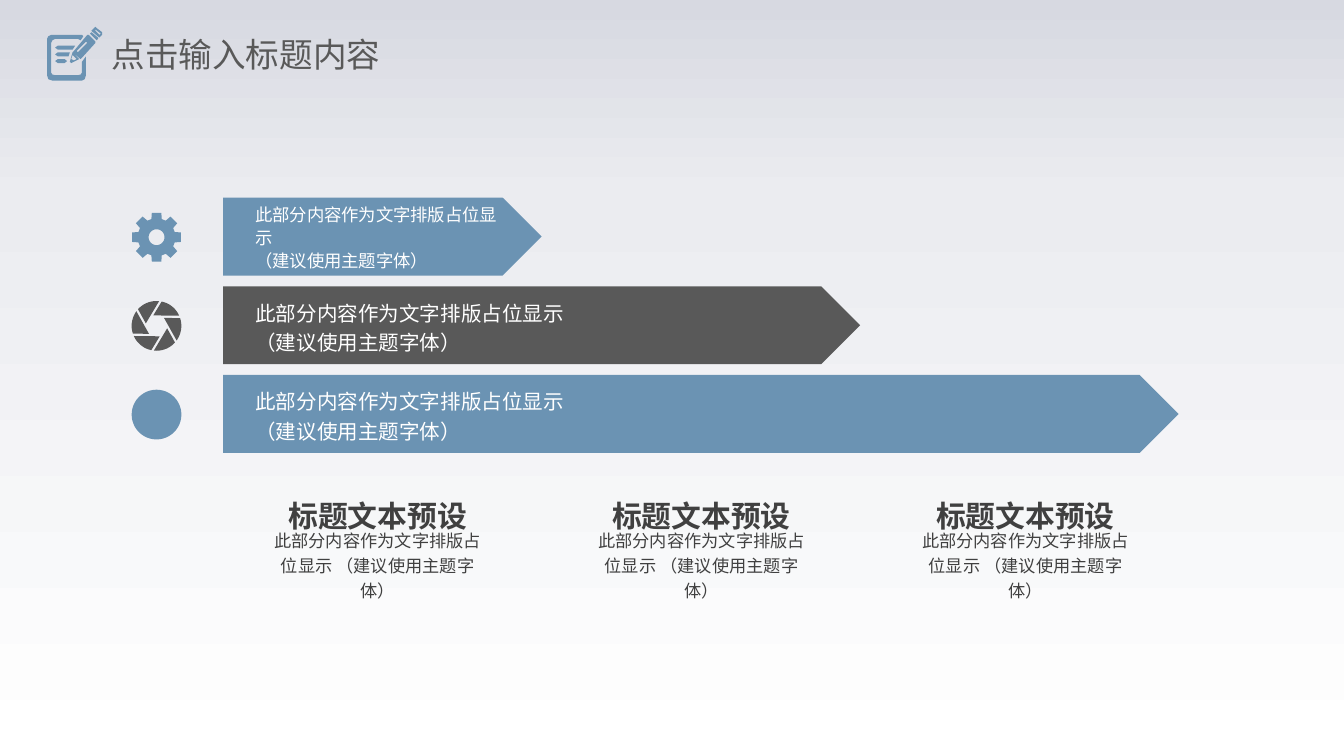
from dataclasses import dataclass
from math import cos, radians, sin

from lxml import etree
from pptx import Presentation
from pptx.dml.color import RGBColor
from pptx.enum import shapes, text
from pptx.oxml import ns
from pptx.util import Inches, Pt


@dataclass(frozen=True)
class Theme:
    blue: str = "6B93B3"
    gray: str = "595959"
    ink: str = "404040"
    white: str = "FFFFFF"
    backdrop: tuple = ((0, "D7D9E1"), (26, "EBECF0"), (100, "FFFFFF"))
    font: str = "Calibri"
    title_font: str = "Noto Sans CJK SC"
    title: float = 18
    heading: float = 16
    arrow: float = 11
    short_arrow: float = 9.3
    body: float = 9.2


THEME = Theme()
BODY = "此部分内容作为文字排版占位显示 "
HINT = "（建议使用主题字体）"
MIDDLE = text.MSO_ANCHOR.MIDDLE
CENTER = text.PP_ALIGN.CENTER
LEFT = text.PP_ALIGN.LEFT

# Contours of the notepad and pencil, in hundredths of an inch
NOTEPAD = (
    ((3, 6), (26, 6), (27, 7), (25, 10), (23, 9), (6, 9), (4, 10), (3, 12),
     (3, 34), (4, 35.5), (6, 36), (23, 36), (25, 35.5), (26, 34), (26, 26),
     (29, 22), (29, 36), (28, 39), (26, 40), (4, 40), (1, 39), (0, 36),
     (0, 9), (1, 7)),
    ((8, 14), (21, 14), (19, 17), (8, 17), (6, 15.5)),
    ((8, 19), (17, 19), (16, 22), (8, 22), (6, 20.5)),
    ((8, 24), (13, 24), (15, 25.5), (13, 27), (8, 27), (6, 25.5)),
    ((19, 19), (24, 24), (18, 27), (17, 26)),
    ((19, 21), (18, 24), (20, 25), (22, 24)),
    ((31, 6), (36, 11), (36, 12), (26, 23), (25, 24), (19, 19), (20, 18), (30, 6)),
    ((29, 11), (22, 18), (23, 19), (30, 12)),
    ((33, 4), (38, 8), (38, 9), (37, 10), (32, 5)),
    ((36, 0), (37, 1), (41, 4), (41, 6), (39, 8), (33, 3), (35, 1)),
    ((36, 2), (36, 3), (39, 6), (40, 5)),
)


def paint(shape, color):
    shape.shadow.inherit = False
    shape.fill.solid()
    shape.fill.fore_color.rgb = RGBColor.from_string(color)
    shape.line.fill.background()


def write(shape, words, size, color, font=THEME.font, bold=False, spacing=1.0,
          align=LEFT, anchor=text.MSO_ANCHOR.TOP, insets=(0, 0, 0, 0), wrap=True):
    """Fill a shape with one paragraph; a vertical tab in words breaks the line."""
    frame = shape.text_frame
    sides = ("margin_left", "margin_top", "margin_right", "margin_bottom")
    layout = dict(zip(sides, map(Inches, insets)))
    for name, value in {**layout, "word_wrap": wrap, "vertical_anchor": anchor}.items():
        setattr(frame, name, value)
    paragraph = frame.paragraphs[0]
    paragraph.text = words
    paragraph.alignment = align
    paragraph.line_spacing = spacing
    for run in paragraph.runs:
        for name, value in {"size": Pt(size), "bold": bold, "name": font}.items():
            setattr(run.font, name, value)
        run.font.color.rgb = RGBColor.from_string(color)
        etree.SubElement(run._r.get_or_add_rPr(), ns.qn("a:ea"), typeface=font)


def add_label(slide, left, top, width, height, words, **style):
    box = slide.shapes.add_textbox(*map(Inches, (left, top, width, height)))
    write(box, words, **style)


def draw_contours(slide, left, top, contours, color):
    """Draw closed contours, given in inches from left and top, as one outline."""
    placed = [[(Inches(left + x), Inches(top + y)) for x, y in c] for c in contours]
    builder = slide.shapes.build_freeform(*placed[0][0])
    builder.add_line_segments(placed[0][1:], close=True)
    for contour in placed[1:]:
        builder.move_to(*contour[0])
        builder.add_line_segments(contour[1:], close=True)
    paint(builder.convert_to_shape(), color)


def polar(size, radius, angle):
    return (size / 2 + radius * cos(radians(angle)),
            size / 2 + radius * sin(radians(angle)))


def draw_gear(slide, left, top, size, color):
    outer, root, hole = size * 0.5, size * 0.38, size * 0.16
    tooth = ((root, -16), (outer, -11), (outer, 11), (root, 16))
    rim = [polar(size, r, 45 * k + a) for k in range(8) for r, a in tooth]
    bore = [polar(size, hole, a) for a in range(360, 0, -10)]
    draw_contours(slide, left, top, (rim, bore), color)


def draw_aperture(slide, left, top, size, color):
    blades = [
        [polar(size, size / 2, a + 60 * k) for a in range(222, 277, 6)]
        + [polar(size, size * 0.22, 193 + 60 * k)]
        for k in range(6)
    ]
    draw_contours(slide, left, top, blades, color)


def draw_disc(slide, left, top, size, color):
    disc = slide.shapes.add_shape(
        shapes.MSO_SHAPE.OVAL, *map(Inches, (left, top, size, size)))
    paint(disc, color)


def add_backdrop(slide):
    slide.background.fill.solid()
    solid = slide.background._cSld.find(".//" + ns.qn("a:solidFill"))
    gradient = etree.Element(ns.qn("a:gradFill"), rotWithShape="1")
    stops = etree.SubElement(gradient, ns.qn("a:gsLst"))
    for position, color in THEME.backdrop:
        stop = etree.SubElement(stops, ns.qn("a:gs"), pos=str(position * 1000))
        etree.SubElement(stop, ns.qn("a:srgbClr"), val=color)
    etree.SubElement(gradient, ns.qn("a:lin"), ang="5400000", scaled="0")
    solid.getparent().replace(solid, gradient)


def add_header(slide, left, top):
    contours = [[(x / 100, y / 100) for x, y in c] for c in NOTEPAD]
    draw_contours(slide, left, top, contours, THEME.blue)
    add_label(slide, left + 0.48, top - 0.01, 2.33, 0.42, "点击输入标题内容",
              size=THEME.title, color=THEME.gray, font=THEME.title_font,
              anchor=MIDDLE, insets=(0, 0.05, 0, 0.05))


def add_arrow_row(slide, left, top, length, draw_icon, color, size, spacing):
    draw_icon(slide, left, top + 0.11, 0.37, color)
    arrow = slide.shapes.add_shape(
        shapes.MSO_SHAPE.PENTAGON, *map(Inches, (left + 0.68, top, length, 0.58)))
    paint(arrow, color)
    write(arrow, BODY + "\v" + HINT, size, THEME.white, spacing=spacing,
          anchor=MIDDLE, insets=(0.24, 0.05, 0.1, 0.05))


def add_caption(slide, left, top, width):
    add_label(slide, left, top, width, 0.26, "标题文本预设", size=THEME.heading,
              color=THEME.ink, bold=True, align=CENTER, wrap=False)
    add_label(slide, left, top + 0.26, width, 0.47, BODY + HINT, size=THEME.body,
              color=THEME.ink, spacing=1.2, align=CENTER, anchor=MIDDLE)


def main():
    deck = Presentation()
    deck.slide_width = Inches(10)
    deck.slide_height = deck.slide_width * 9 // 16
    slide = deck.slides.add_slide(deck.slide_layouts[6])
    add_backdrop(slide)
    add_header(slide, 0.35, 0.2)
    rows = (
        (draw_gear, THEME.blue, THEME.short_arrow, 1.1),
        (draw_aperture, THEME.gray, THEME.arrow, 1.2),
        (draw_disc, THEME.blue, THEME.arrow, 1.2),
    )
    for index, row in enumerate(rows):
        add_arrow_row(slide, 0.98, 1.47 + 0.66 * index, 2.37 * (index + 1), *row)
        add_caption(slide, 2 + 2.41 * index, 3.7, 1.62)
    deck.save("out.pptx")


if __name__ == "__main__":
    main()
